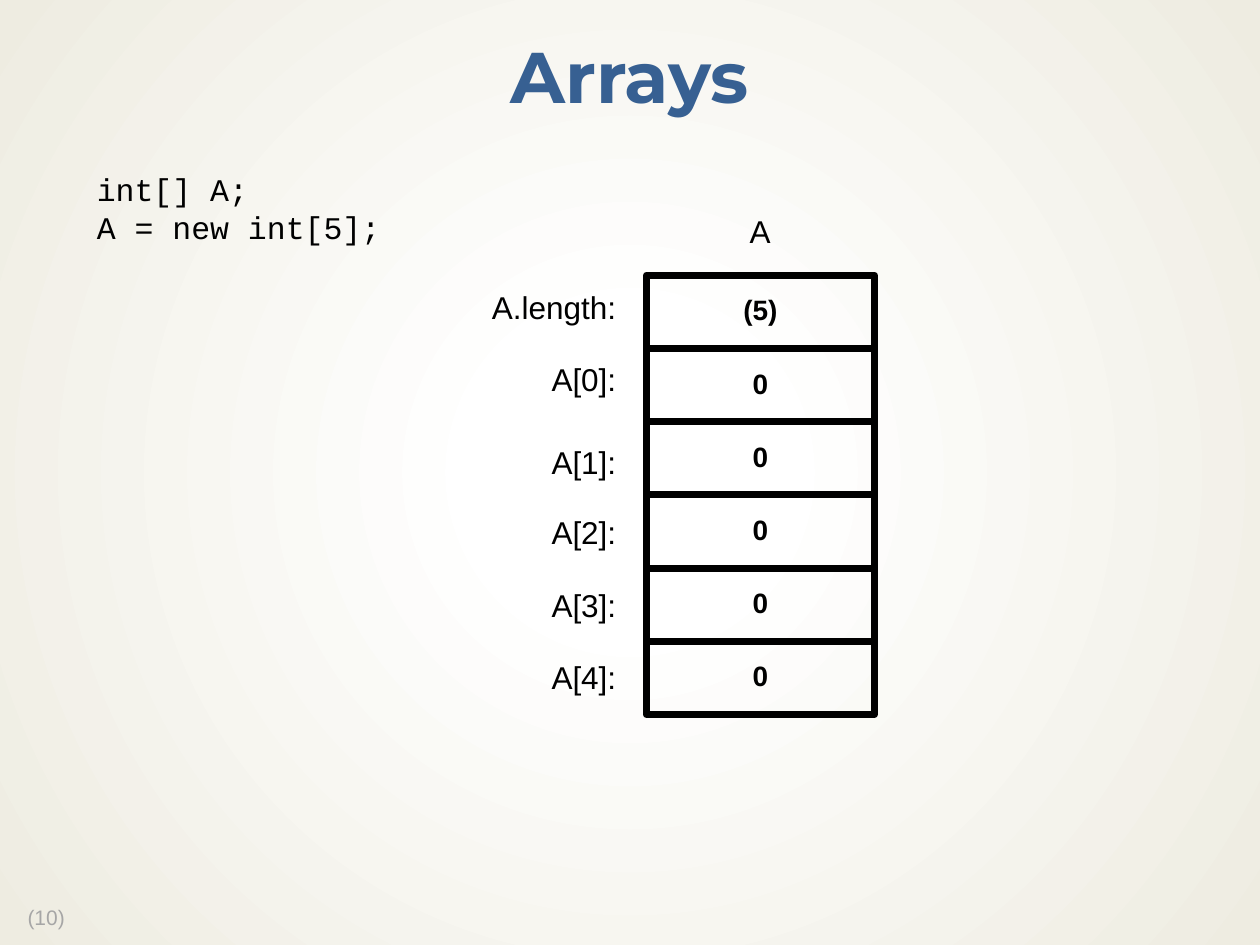
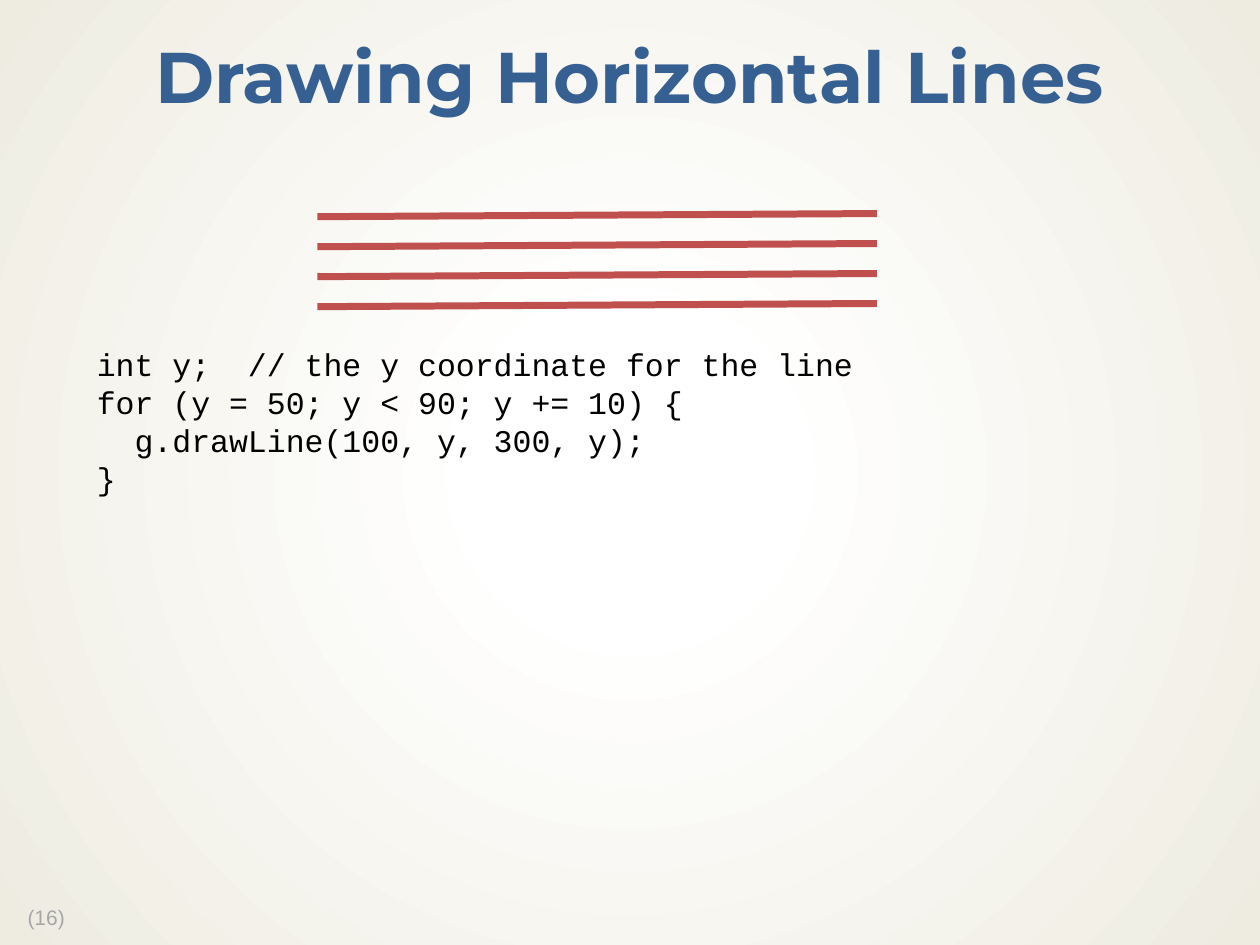
"""Builds two slides on Java arrays and on drawing lines in a loop."""
from lxml.etree import SubElement
from pptx import Presentation
from pptx.dml.color import RGBColor
from pptx.enum.shapes import MSO_CONNECTOR, MSO_SHAPE
from pptx.enum.text import MSO_ANCHOR, PP_ALIGN
from pptx.oxml import parse_xml
from pptx.oxml.ns import nsdecls, qn
from pptx.util import Inches, Pt

BLUE, RED, BLACK, GREY = "376092", "C0504D", "000000", "A6A6A6"
TITLE = {"name": "Montserrat", "size": Pt(41), "bold": True}
CODE = {"name": "Courier New", "size": Pt(18)}
LABEL = {"name": "Arial", "size": Pt(18)}
VALUE = {"name": "Arial", "size": Pt(16), "bold": True}
NUMBER = {"name": "Arial", "size": Pt(12)}


def colour(hex_string):
    return RGBColor.from_string(hex_string)


def write(box, lines, font, ink=BLACK, align=PP_ALIGN.LEFT, spacing=1.0, wrap=False,
          anchor=MSO_ANCHOR.TOP):
    frame = box.text_frame
    frame.word_wrap = wrap
    frame.vertical_anchor = anchor
    for index, line in enumerate(lines):
        para = frame.add_paragraph() if index else frame.paragraphs[0]
        para.alignment = align
        para.line_spacing = spacing
        span = para.add_run()
        span.text = line
        for key, value in font.items():
            setattr(span.font, key, value)
        span.font.color.rgb = colour(ink)


deck = Presentation()
deck.slide_width, deck.slide_height = Inches(10), Inches(7.5)
column, row = deck.slide_width / 100, deck.slide_height / 75

deck.slide_master.background.fill.solid()
backdrop = next(deck.slide_master.element.iter(qn("p:bgPr")))
backdrop.replace(backdrop[0], parse_xml(
    f'<a:gradFill {nsdecls("a")} rotWithShape="1"><a:gsLst>'
    '<a:gs pos="18000"><a:srgbClr val="FFFFFF"><a:alpha val="53000"/></a:srgbClr></a:gs>'
    '<a:gs pos="100000"><a:srgbClr val="EEECE1"/></a:gs></a:gsLst>'
    '<a:path path="circle"><a:fillToRect l="50000" t="50000" r="50000" b="50000"/></a:path>'
    '</a:gradFill>'))

slides = [
    ("Arrays", "(10)", 13, 24.7, ["int[] A;", "A = new int[5];"]),
    ("Drawing Horizontal Lines", "(16)", 26.9, 62.6,
     ["int y;  // the y coordinate for the line",
      "for (y = 50; y < 90; y += 10) {",
      "  g.drawLine(100, y, 300, y);",
      "}"]),
]
pages = []
for title, number, code_top, code_width, code in slides:
    page = deck.slides.add_slide(deck.slide_layouts[6])
    pages.append(page)
    box = page.shapes.add_textbox(
        int(1.2 * column), int(71.5 * row), int(5.1 * column), int(2.8 * row))
    write(box, [number], NUMBER, GREY, spacing=0.9)
    box = page.shapes.add_textbox(0, int(1.7 * row), deck.slide_width, int(9.4 * row))
    write(box, [title], TITLE, BLUE, PP_ALIGN.CENTER, 0.9, True, MSO_ANCHOR.MIDDLE)
    box = page.shapes.add_textbox(
        int(6.7 * column), int(code_top * row),
        int(code_width * column), int((1.1 + 3 * len(code)) * row))
    write(box, code, CODE)
array_page, lines_page = pages

cell_left, cell_top, cell_width, cell_height = 51.3, 21.85, 18.1, 5.81
label_right = 49.9
cells = [("A.length:", "(5)", 12.1, 22.4)]
for index, label_top in enumerate([28.1, 34.7, 40.2, 46, 51.7]):
    cells.append((f"A[{index}]:", "0", 7.4, label_top))
for index, (label, value, label_width, label_top) in enumerate(cells):
    cell = array_page.shapes.add_shape(
        MSO_SHAPE.RECTANGLE, int(cell_left * column),
        int((cell_top + index * cell_height) * row),
        int(cell_width * column), int(cell_height * row))
    cell.shadow.inherit = False
    cell.fill.background()
    cell.line.color.rgb = colour(BLACK)
    cell.line.width = Pt(4)
    write(cell, [value], VALUE, BLACK, PP_ALIGN.CENTER, 0.9, True, MSO_ANCHOR.MIDDLE)
    box = array_page.shapes.add_textbox(
        int((label_right - label_width) * column), int(label_top * row),
        int(label_width * column), int(4 * row))
    write(box, [label], LABEL, align=PP_ALIGN.RIGHT)
box = array_page.shapes.add_textbox(
    int(58.5 * column), int(16.3 * row), int(3.8 * column), int(4 * row))
write(box, ["A"], LABEL)

line_top, line_gap, line_rise = 17.2, 2.38, 0.25
for index in range(4):
    start = line_top + index * line_gap
    line = lines_page.shapes.add_connector(
        MSO_CONNECTOR.STRAIGHT, int(25.2 * column), int(start * row),
        int(69.6 * column), int((start - line_rise) * row))
    line.line.color.rgb = colour(RED)
    line.line.width = Pt(4)
    SubElement(line._element.spPr, qn("a:effectLst"))

deck.save("out.pptx")
